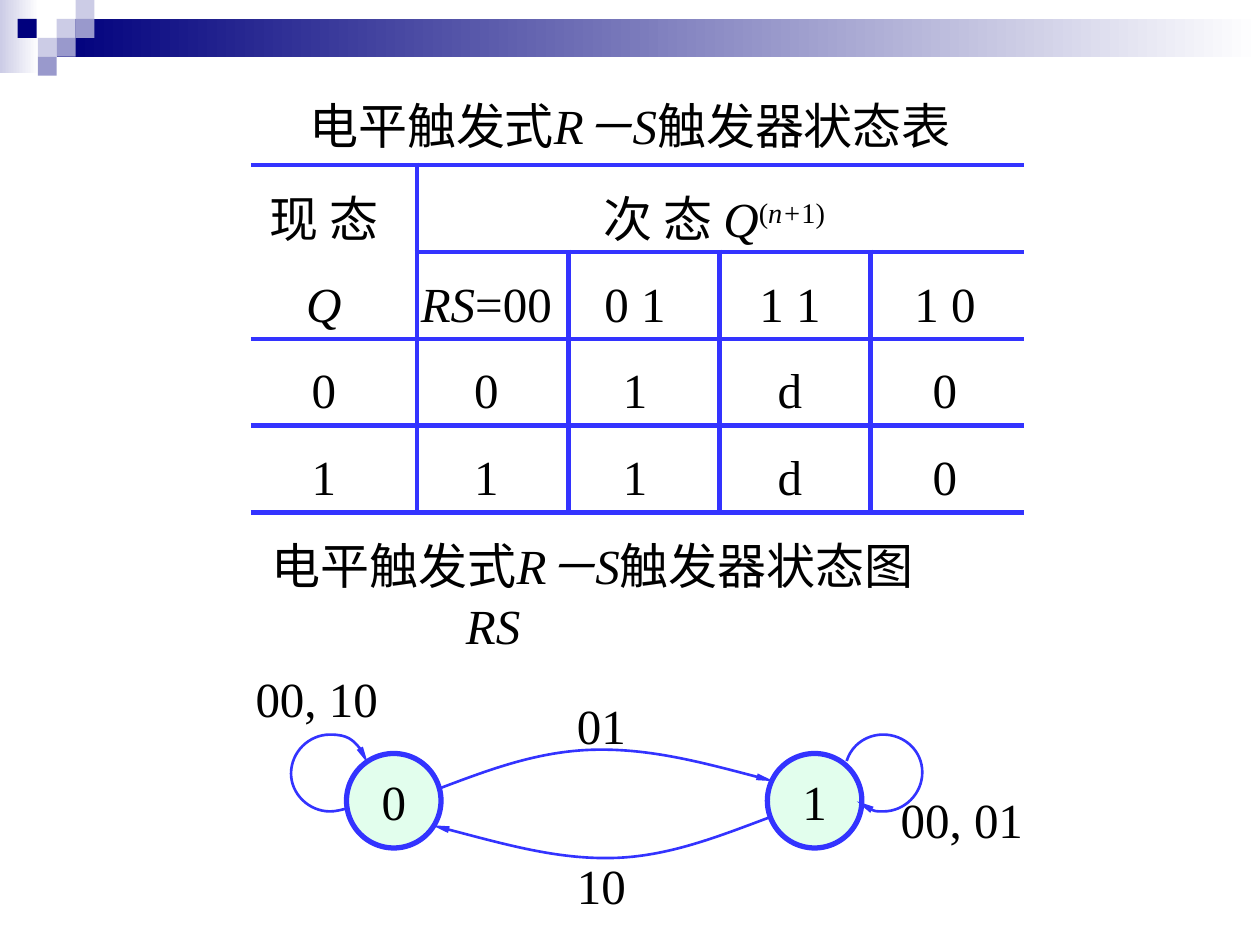
from lxml.etree import SubElement
from pptx import Presentation
from pptx.dml.color import RGBColor
from pptx.enum.shapes import MSO_SHAPE
from pptx.enum.text import MSO_ANCHOR, MSO_AUTO_SIZE, PP_ALIGN
from pptx.oxml import parse_xml
from pptx.oxml.ns import nsdecls, qn
from pptx.util import Inches, Pt

BLACK = RGBColor(0x00, 0x00, 0x00)
WHITE = RGBColor(0xFF, 0xFF, 0xFF)
BLUE = RGBColor(0x33, 0x33, 0xFF)
MINT = RGBColor(0xE2, 0xFE, 0xED)
NAVY = RGBColor(0x00, 0x00, 0x7D)
LAVENDER = RGBColor(0xCC, 0xCC, 0xE6)
PERIWINKLE = RGBColor(0x99, 0x99, 0xCC)

COLUMN_EDGES = [1.99, 3.31, 4.51, 5.71, 6.91, 8.13]
TEXT_CENTRES = [2.57, 3.86, 5.04, 6.27, 7.5]
TABLE_TOP, ROW_HEIGHT = 1.31, 0.69
STATE_ROWS = [
    ["现 态", "次 态 *Q*^(*n+*1)", "", "", ""],
    ["*Q*", "*RS*=00", "0 1", "1 1", "1 0"],
    ["0", "0", "1", "d", "0"],
    ["1", "1", "1", "d", "0"],
]


def write(p, text, size=28, font="Times New Roman", color=BLACK, align=PP_ALIGN.LEFT):
    p.alignment = align
    for level, part in enumerate(text.split("^")):
        for i, piece in enumerate(part.split("*")):
            if not piece:
                continue
            r = p.add_run()
            r.text = piece
            r.font.size = Pt(size)
            r.font.name = font
            r.font.color.rgb = color
            r.font.bold = False
            r.font.italic = i % 2 == 1
            if level:
                r.font._element.set("baseline", "30000")


class SlideBuilder:
    def __init__(self, slide, line_color=BLUE, thick=3, thin=1.5):
        self.s = slide
        self.line_color = line_color
        self.thick = thick
        self.thin = thin

    def block(self, x, y, w, h, color, fade=None):
        sp = self.s.shapes.add_shape(
            MSO_SHAPE.RECTANGLE, Inches(x), Inches(y), Inches(w), Inches(h))
        sp.shadow.inherit = False
        sp.line.fill.background()
        if fade is None:
            sp.fill.solid()
            sp.fill.fore_color.rgb = color
            return
        sp.fill.gradient()
        sp.fill.gradient_angle = 0
        for stop, position, shade in zip(sp.fill.gradient_stops, (0, 1), (color, fade)):
            stop.position = position
            stop.color.rgb = shade

    def title(self, text, x, y, w, h):
        sp = self.s.shapes.title
        sp.left, sp.top, sp.width, sp.height = (Inches(v) for v in (x, y, w, h))
        tf = sp.text_frame
        tf.word_wrap = False
        tf.auto_size = MSO_AUTO_SIZE.NONE
        write(tf.paragraphs[0], text, align=PP_ALIGN.CENTER)

    def label(self, text, x, y, w, h=0.57):
        sp = self.s.shapes.add_textbox(Inches(x), Inches(y), Inches(w), Inches(h))
        tf = sp.text_frame
        tf.word_wrap = False
        write(tf.paragraphs[0], text)

    def state(self, text, x, y, size=0.75):
        sp = self.s.shapes.add_shape(
            MSO_SHAPE.OVAL, Inches(x), Inches(y), Inches(size), Inches(size))
        sp.shadow.inherit = False
        sp.fill.solid()
        sp.fill.fore_color.rgb = MINT
        sp.line.color.rgb = self.line_color
        sp.line.width = Pt(self.thick)
        tf = sp.text_frame
        tf.word_wrap = False
        tf.vertical_anchor = MSO_ANCHOR.MIDDLE
        write(tf.paragraphs[0], text, align=PP_ALIGN.CENTER)

    def curve(self, *points):
        start, *rest = [(Inches(x), Inches(y)) for x, y in points]
        builder = self.s.shapes.build_freeform(*start)
        builder.add_line_segments(rest, close=False)
        sp = builder.convert_to_shape()
        sp.shadow.inherit = False
        sp.fill.background()
        sp.line.color.rgb = self.line_color
        sp.line.width = Pt(self.thin)
        segments = list(sp._element.iter(qn("a:lnTo")))
        outline = segments[0].getparent()
        for i in range(0, len(segments), 3):
            bezier = SubElement(outline, qn("a:cubicBezTo"))
            for segment in segments[i:i + 3]:
                bezier.append(segment[0])
                outline.remove(segment)
        SubElement(sp.line._get_or_add_ln(), qn("a:tailEnd"),
                   type="triangle", w="sm", len="lg")

    def border(self, cell, sides):
        tcPr = cell._tc.get_or_add_tcPr()
        for i, (side, shown) in enumerate(sides.items()):
            fill = (f'<a:solidFill><a:srgbClr val="{self.line_color}"/></a:solidFill>'
                    if shown else "<a:noFill/>")
            width = Pt(self.thick) if shown else 0
            tcPr.insert(i, parse_xml(
                f'<a:{side} {nsdecls("a")} w="{width}">{fill}</a:{side}>'))

    def table(self, rows, edges, centres, top, row_height):
        n_rows, n_cols = len(rows), len(edges) - 1
        table = self.s.shapes.add_table(
            n_rows, n_cols, Inches(edges[0]), Inches(top),
            Inches(edges[-1] - edges[0]), Inches(n_rows * row_height)).table
        table.first_row = table.horz_banding = False
        for c in range(n_cols):
            table.columns[c].width = Inches(edges[c + 1] - edges[c])
        for r, row in enumerate(rows):
            table.rows[r].height = Inches(row_height)
            for c, text in enumerate(row):
                cell = table.cell(r, c)
                cell.fill.background()
                cell.vertical_anchor = MSO_ANCHOR.BOTTOM
                cell.margin_left = 0
                cell.margin_right = Inches(edges[c] + edges[c + 1] - 2 * centres[c])
                cell.margin_top = 0
                cell.margin_bottom = Inches(0.05 if r else 0)
                self.border(cell, {
                    "lnL": c == 1 or c > 1 and r > 0,
                    "lnR": c == 0 or c < n_cols - 1 and r > 0,
                    "lnT": (r, c) != (1, 0),
                    "lnB": (r, c) != (0, 0),
                })
                write(cell.text_frame.paragraphs[0], text, align=PP_ALIGN.CENTER)
        table.cell(0, 1).merge(table.cell(0, n_cols - 1))


def main():
    prs = Presentation()
    prs.slide_width, prs.slide_height = Inches(10), Inches(7.5)
    s = SlideBuilder(prs.slides.add_slide(prs.slide_layouts[5]))

    s.block(0, 0, 0.31, 0.58, LAVENDER, fade=WHITE)
    s.block(0.45, 0.15, 9.55, 0.3, NAVY, fade=WHITE)
    for x, y, color in [
        (0.45, 0.15, LAVENDER), (0.6, 0, LAVENDER), (0.6, 0.15, PERIWINKLE),
        (0.3, 0.3, LAVENDER), (0.14, 0.15, NAVY), (0.45, 0.3, PERIWINKLE),
        (0.3, 0.45, PERIWINKLE),
    ]:
        s.block(x, y, 0.15, 0.15, color)

    s.title("电平触发式*R－S*触发器状态表", 2.1, 0.71, 5.8, 0.57)
    s.table(STATE_ROWS, COLUMN_EDGES, TEXT_CENTRES, TABLE_TOP, ROW_HEIGHT)

    s.label("电平触发式*R－S*触发器状态图", 2.06, 4.2, 5.8)
    s.state("0", 2.75, 5.98)
    s.state("1", 6.09, 5.98)
    s.curve((3.48, 6.26), (3.88, 6.11), (4.27, 5.96), (4.72, 5.95),
            (5.16, 5.94), (5.65, 6.07), (6.14, 6.2))
    s.curve((6.1, 6.49), (5.7, 6.64), (5.3, 6.8), (4.86, 6.81),
            (4.42, 6.82), (3.93, 6.68), (3.43, 6.55))
    s.curve((2.74, 6.42), (2.7, 6.43), (2.66, 6.44), (2.62, 6.44),
            (2.45, 6.44), (2.31, 6.3), (2.31, 6.14),
            (2.31, 5.97), (2.45, 5.83), (2.62, 5.83),
            (2.76, 5.83), (2.88, 5.92), (2.92, 6.06))
    s.curve((6.72, 6.04), (6.76, 5.91), (6.88, 5.83), (7.01, 5.83),
            (7.18, 5.83), (7.32, 5.96), (7.32, 6.13),
            (7.32, 6.3), (7.18, 6.44), (7.01, 6.44),
            (6.93, 6.44), (6.86, 6.41), (6.8, 6.36))
    for text, x, y, w in [
        ("00, 10", 1.93, 5.26, 1.17), ("00, 01", 7.05, 6.22, 1.17),
        ("*RS*", 3.6, 4.68, 0.63), ("01", 4.48, 5.47, 0.59), ("10", 4.48, 6.74, 0.59),
    ]:
        s.label(text, x, y, w)

    prs.save("out.pptx")


if __name__ == "__main__":
    main()
